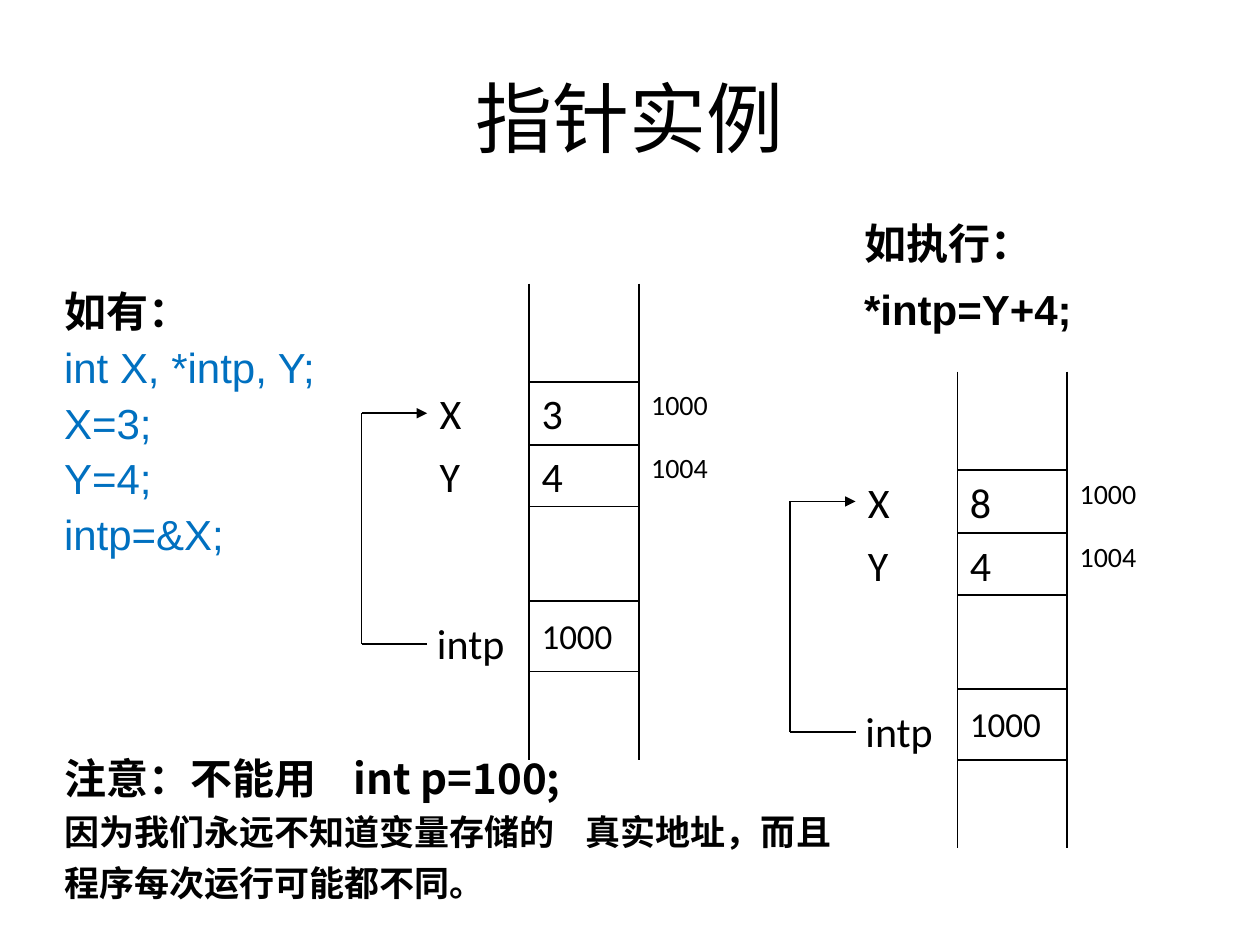
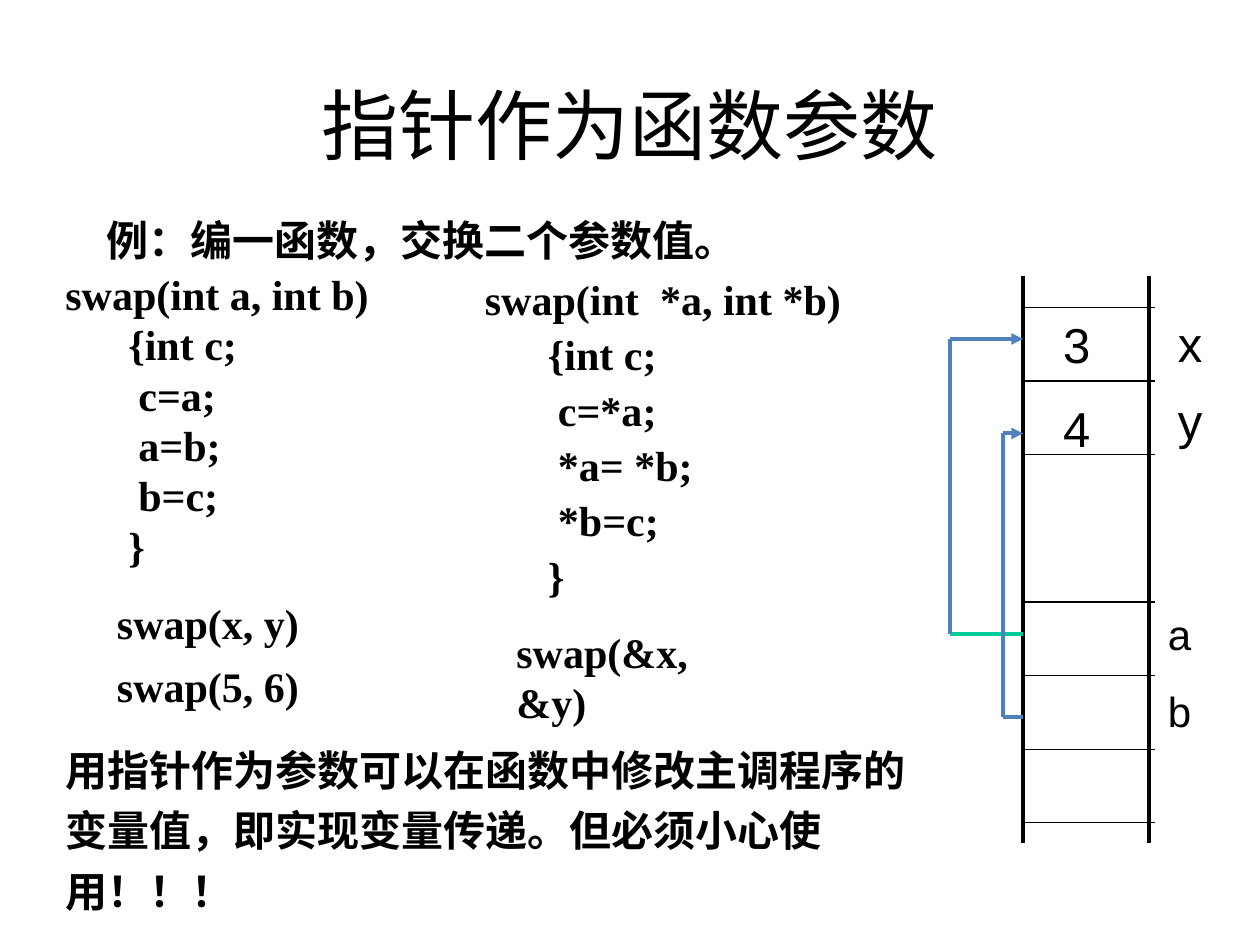
from dataclasses import dataclass
from typing import Optional, Sequence, Union

from lxml.etree import SubElement
from pptx import Presentation
from pptx.dml.color import RGBColor
from pptx.enum.shapes import MSO_CONNECTOR
from pptx.enum.text import MSO_ANCHOR as Anchor, PP_ALIGN as Align
from pptx.oxml.ns import qn
from pptx.util import Inches, Pt


@dataclass(frozen=True)
class Theme:
    black: str = "000000"
    code_blue: str = "0070C0"
    pointer_blue: str = "4F81BD"
    stub_green: str = "00CC99"
    title: int = 44
    large: int = 28
    body: int = 24
    small: int = 20
    address: int = 16
    sans: str = "Arial"
    serif: str = "Times New Roman"
    label: str = "Calibri"
    chinese: str = "Noto Sans CJK SC"


THEME = Theme()


@dataclass(frozen=True)
class Line:
    """A paragraph whose own settings replace those of its text box."""
    text: str
    indent: float = 0
    tab: Optional[float] = None
    size: Optional[int] = None
    bold: Optional[bool] = None
    color: Optional[str] = None
    before: Optional[float] = None


@dataclass(frozen=True)
class Memory:
    """State of the variables, drawn from the top left of the memory column."""
    left: float
    top: float
    x_value: str


def choose(own, shared):
    return shared if own is None else own


def add_text(slide, box: tuple, lines: Sequence[Union[str, Line]], *,
             font: str = THEME.label, size: int = THEME.body, bold: bool = False,
             color: str = THEME.black, before: float = 0, spacing: float = 1.0,
             align=Align.LEFT, anchor=Anchor.TOP):
    shape = slide.shapes.add_textbox(*(Inches(value) for value in box))
    frame = shape.text_frame
    frame.word_wrap = True
    frame.vertical_anchor = anchor
    for index, item in enumerate(lines):
        line = Line(item) if isinstance(item, str) else item
        paragraph = frame.paragraphs[0] if index == 0 else frame.add_paragraph()
        paragraph.alignment = align
        paragraph.line_spacing = spacing
        paragraph.space_before = Pt(choose(line.before, before))
        properties = paragraph._p.get_or_add_pPr()
        if line.indent:
            properties.set("marL", str(Inches(line.indent)))
        if line.tab is not None:
            tabs = SubElement(properties, qn("a:tabLst"))
            SubElement(tabs, qn("a:tab"), pos=str(Inches(line.tab)), algn="l")
        run = paragraph.add_run()
        run.text = line.text
        run.font.name = font
        run.font.size = Pt(choose(line.size, size))
        run.font.bold = choose(line.bold, bold)
        run.font.color.rgb = RGBColor.from_string(choose(line.color, color))
        SubElement(run._r.get_or_add_rPr(), qn("a:ea"), typeface=THEME.chinese)
    return shape


def add_title(slide, box: tuple, text: str) -> None:
    add_text(slide, box, [text], size=THEME.title, align=Align.CENTER,
             anchor=Anchor.MIDDLE)


def add_line(slide, start: tuple, end: tuple, width: float,
             color: str = THEME.black, arrow: bool = False):
    connector = slide.shapes.add_connector(
        MSO_CONNECTOR.STRAIGHT, *(Inches(value) for value in start + end))
    connector.line.width = Pt(width)
    connector.line.color.rgb = RGBColor.from_string(color)
    if arrow:
        SubElement(connector.line._get_or_add_ln(), qn("a:tailEnd"), type="triangle")
    SubElement(connector._element.spPr, qn("a:effectLst"))
    return connector


def add_column(slide, left: float, right: float, top: float, bottom: float,
               rows: Sequence[float], *, side_width: float, row_width: float,
               overhang: float = 0) -> None:
    """Draw a memory column: two open sides and the lines between cells."""
    for x in (left, right):
        add_line(slide, (x, top), (x, bottom), side_width)
    for y in rows:
        add_line(slide, (left, y), (right + overhang, y), row_width)


def add_pointer(slide, x: float, lane: float, source: float, target: float,
                width: float, color: str = THEME.black,
                stub_color: Optional[str] = None):
    """Lead from source height out to the lane and back to target height."""
    add_line(slide, (x, source), (lane, source), width, choose(stub_color, color))
    add_line(slide, (lane, source), (lane, target), width, color)
    return add_line(slide, (lane, target), (x, target), width, color, arrow=True)


def draw_memory(slide, memory: Memory) -> None:
    left, top = memory.left, memory.top
    cell_width, label_width, row_height = 0.87, 0.81, 0.5
    label_left, right = left - label_width, left + cell_width
    row_lines = [top + offset for offset in (0.78, 1.28, 1.77, 2.52, 3.08)]
    add_column(slide, left, right, top, top + 3.78, row_lines,
               side_width=1, row_width=1)

    variables = (("X", memory.x_value, "1000"), ("Y", "4", "1004"))
    labels = []
    for row_top, (name, value, address) in zip(row_lines, variables):
        labels.append(add_text(
            slide, (label_left, row_top, label_width, row_height), [name], before=6))
        add_text(slide, (left, row_top, cell_width, row_height), [value], before=6)
        add_text(slide, (right, row_top, 0.71, row_height), [address],
                 size=THEME.address, before=4)
    add_text(slide, (left - 0.83, top + 2.6, 0.9, 0.57), ["intp"], before=6)
    add_text(slide, (left, top + 2.58, cell_width, 0.57), ["1000"],
             size=THEME.small, before=5)

    arrow = add_pointer(slide, label_left, left - 1.33, top + 2.86,
                        row_lines[0] + row_height / 2, 1)
    arrow.end_connect(labels[0], 1)


def build_pointer_example(slide) -> None:
    add_title(slide, (0.5, 0.3, 9, 1.25), "指针实例")
    add_text(slide, (0.41, 2.22, 2.75, 2.27),
             [Line("如有：", bold=True, color=THEME.black),
              "int X, *intp, Y;", "X=3;", "Y=4;", "intp=&X;"],
             font=THEME.sans, color=THEME.code_blue, before=3)
    add_text(slide, (6.76, 1.6, 2.57, 1.1), ["如执行：", "*intp=Y+4;"],
             font=THEME.sans, bold=True, before=3, spacing=1.2)
    for memory in (Memory(4.2, 2.25, "3"), Memory(7.6, 2.95, "8")):
        draw_memory(slide, memory)
    add_text(slide, (0.41, 5.84, 6.38, 1.38),
             [Line("注意：不能用\tint p=100;", tab=2.3, before=15),
              Line("因为我们永远不知道变量存储的\t真实地址，而且程序每次运行可能都不同。",
                   tab=4.14, size=THEME.small)],
             font=THEME.chinese, bold=True, spacing=1.2)


def swap_code(signature: Line, statements: Sequence[str]) -> list:
    brace_indent, statement_indent = 0.5, 0.58
    return [signature, Line("{int c;", brace_indent),
            *(Line(statement, statement_indent) for statement in statements),
            Line("}", brace_indent)]


def draw_call_memory(slide) -> None:
    left, right, first_row = 8.12, 9.12, 2.44
    row_pitch = (6.53 - first_row) / 7
    rows = [first_row + row_pitch * index for index in range(8) if index != 3]
    add_column(slide, left, right, 2.19, 6.69, rows,
               side_width=2, row_width=0.75, overhang=0.05)
    add_pointer(slide, left, 7.54, 5.03, 2.69, 2.25, THEME.pointer_blue,
                THEME.stub_green)
    add_pointer(slide, left, 7.96, 5.69, 3.44, 2.25, THEME.pointer_blue)
    for top, value in ((2.45, "3"), (3.11, "4")):
        add_text(slide, (left, top, 1, 0.57), [Line(value, indent=0.22)],
                 font=THEME.sans, size=THEME.large, before=17.5)
    add_text(slide, (9.25, 2.44, 0.49, 1.18), ["x", "y"],
             font=THEME.sans, size=THEME.large, before=10.5)
    add_text(slide, (9.17, 4.78, 0.4, 1.11), ["a", "b"],
             font=THEME.sans, before=15)


def build_pointer_parameters(slide) -> None:
    add_title(slide, (0.75, 0.36, 8.5, 1.25), "指针作为函数参数")
    add_text(slide, (0.75, 1.65, 5.33, 0.5), ["例：编一函数，交换二个参数值。"],
             font=THEME.serif, bold=True)
    add_text(slide, (0.42, 2.08, 2.75, 2.5),
             swap_code(Line("swap(int a, int b)"), ("c=a;", "a=b;", "b=c;")),
             font=THEME.serif, bold=True)
    add_text(slide, (3.75, 2.08, 3.18, 2.74),
             swap_code(Line("swap(int\t*a, int *b)", tab=1.39),
                       ("c=*a;", "*a= *b;", "*b=c;")),
             font=THEME.serif, bold=True, spacing=1.1)
    calls = (((0.83, 4.69, 2.5, 0.5), "swap(x, y)"),
             ((0.83, 5.19, 1.83, 0.5), "swap(5, 6)"),
             ((4, 4.92, 2.17, 0.9), "swap(&x, &y)"))
    for box, call in calls:
        add_text(slide, box, [call], font=THEME.serif, bold=True, before=15)
    draw_call_memory(slide)
    add_text(slide, (0.42, 5.78, 7.12, 1.54),
             ["用指针作为参数可以在函数中修改主调程序的变量值，即实现变量传递。"
              "但必须小心使用！！！"],
             font=THEME.sans, bold=True, before=15, spacing=1.2)


def main() -> None:
    presentation = Presentation()
    presentation.slide_width = Inches(10)
    presentation.slide_height = Inches(7.5)
    blank_layout = presentation.slide_layouts[6]
    for build in (build_pointer_example, build_pointer_parameters):
        build(presentation.slides.add_slide(blank_layout))
    presentation.save("out.pptx")


if __name__ == "__main__":
    main()
